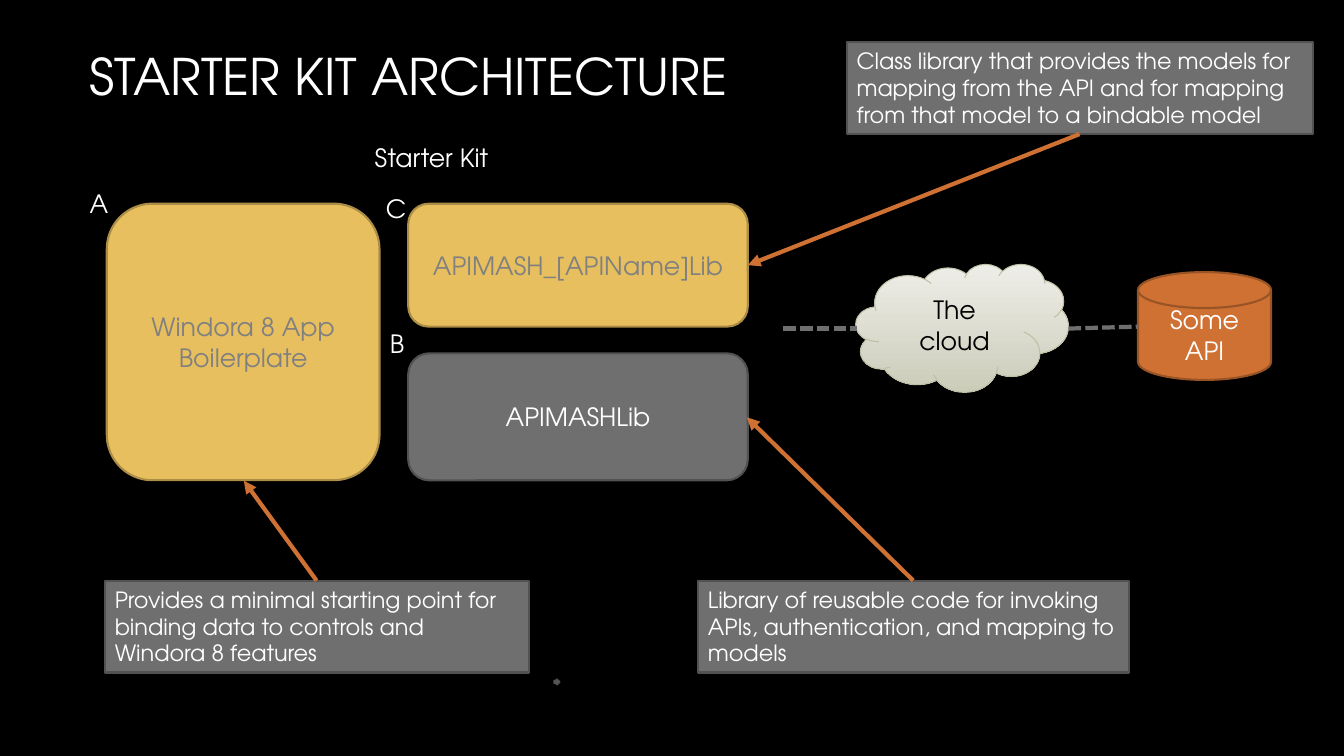
from dataclasses import dataclass

from lxml import etree
from pptx import Presentation
from pptx.dml.color import RGBColor
from pptx.enum import dml, shapes, text
from pptx.oxml import ns
from pptx.util import Pt

FONT = "TeX Gyre Adventor"
WHITE, BLACK, GREY, ORANGE = "FFFFFF", "000000", "6F6F6F", "CF7133"
GOLD, GOLD_EDGE, GREY_EDGE = "E7BF5F", "AB8D46", "525252"
SHAPE, ALIGN, ANCHOR = shapes.MSO_SHAPE, text.PP_ALIGN, text.MSO_ANCHOR
Frame = tuple[float, float, float, float]


@dataclass
class Block:
    frame: Frame
    words: str = ""
    kind: shapes.MSO_SHAPE = SHAPE.RECTANGLE
    fills: tuple[str, ...] = (GREY,)
    edge: str = GREY_EDGE
    edge_width: float = 1.5
    ink: str = WHITE
    size: float = 18
    align: text.PP_ALIGN = ALIGN.CENTER
    anchor: text.MSO_ANCHOR = ANCHOR.MIDDLE


@dataclass
class Label:
    frame: Frame
    words: str
    size: float = 18


@dataclass
class Link:
    ends: Frame
    ink: str = ORANGE
    arrow: bool = True


def note(frame: Frame, words: str) -> Block:
    return Block(frame, words, size=16, align=ALIGN.LEFT, anchor=ANCHOR.TOP)


BLOCKS = [
    Block((56.9, 97.9, 502.6, 273.6), "Starter Kit", fills=(BLACK,), edge=BLACK, anchor=ANCHOR.TOP),
    Block((611.3, 188.6, 151.9, 91.4), "The cloud", SHAPE.CLOUD, ("EEEEE8", "CCCCBA"), "BFBFA5", 0.75, BLACK),
    Block((812.9, 194.4, 95, 77), "Some API", SHAPE.FLOWCHART_MAGNETIC_DISK, (ORANGE,), "995426"),
    Block((291.6, 252.4, 242.6, 90.7), "APIMASHLib", SHAPE.ROUNDED_RECTANGLE),
    Block((291.6, 145.5, 242.6, 87.8), "APIMASH_[APIName]Lib", SHAPE.ROUNDED_RECTANGLE,
          (GOLD,), GOLD_EDGE, ink="808080"),
    Block((76.3, 145.5, 194.8, 197.5), "Windora 8 App Boilerplate", SHAPE.ROUNDED_RECTANGLE,
          (GOLD,), GOLD_EDGE, ink="808080"),
    note((74.9, 414.9, 303.1, 65.5),
         "Provides a minimal starting point for binding data to controls and Windora 8 features"),
    note((604.8, 30, 333.4, 65.5),
         "Class library that provides the models for mapping from the API "
         "and for mapping from that model to a bindable model"),
    note((498.6, 414.9, 307.8, 65.5),
         "Library of reusable code for invoking APIs, authentication, and mapping to models"),
    Block((396, 485.3, 3.6, 3.6), kind=SHAPE.RIGHT_ARROW),
]
LABELS = [
    Label((56.9, 28.8, 476.6, 51.1), "STARTER KIT ARCHITECTURE", 36),
    Label((56.9, 131, 28.1, 28.8), "A"),
    Label((271.4, 231.1, 25.2, 28.8), "B"),
    Label((268.6, 134.6, 29.5, 28.8), "C"),
]
LINKS = [
    Link((559.4, 234.7, 612, 234.7), GREY, False),
    Link((763.2, 234.7, 812.9, 233.3), GREY, False),
    Link((771.1, 95.8, 534.2, 189.4)),
    Link((652.3, 414.7, 533.5, 298.1)),
    Link((226.1, 414.7, 174.2, 343.4)),
]


def colour(code: str) -> RGBColor:
    return RGBColor.from_string(code)


def apply(target: object, values: dict[str, object]) -> None:
    for name, value in values.items():
        setattr(target, name, value)


def write(box, words: str, size: float, ink: str, align, anchor, wrap: bool) -> None:
    apply(box.text_frame, {"word_wrap": wrap, "vertical_anchor": anchor})
    para = box.text_frame.paragraphs[0]
    para.alignment = align
    span = para.add_run()
    span.text = words
    apply(span.font, {"name": FONT, "size": Pt(size)})
    span.font.color.rgb = colour(ink)


def draw_block(page, block: Block) -> None:
    box = page.shapes.add_shape(block.kind, *map(Pt, block.frame))
    box.shadow.inherit = False
    if len(block.fills) > 1:
        box.fill.gradient()
        box.fill.gradient_angle = 270
        for stop, code in zip(box.fill.gradient_stops, block.fills):
            stop.color.rgb = colour(code)
    else:
        box.fill.solid()
        box.fill.fore_color.rgb = colour(block.fills[0])
    box.line.color.rgb = colour(block.edge)
    box.line.width = Pt(block.edge_width)
    if block.words:
        write(box, block.words, block.size, block.ink, block.align, block.anchor, True)


def draw_label(page, label: Label) -> None:
    box = page.shapes.add_textbox(*map(Pt, label.frame))
    write(box, label.words, label.size, WHITE, ALIGN.LEFT, ANCHOR.TOP, False)


def draw_link(page, link: Link) -> None:
    line = page.shapes.add_connector(shapes.MSO_CONNECTOR.STRAIGHT, *map(Pt, link.ends))
    line.line.color.rgb = colour(link.ink)
    line.line.width = Pt(3)
    if link.arrow:
        etree.SubElement(line.line._get_or_add_ln(), ns.qn("a:tailEnd"), type="triangle")
    else:
        line.line.dash_style = dml.MSO_LINE.SQUARE_DOT
    etree.SubElement(line._element.spPr, ns.qn("a:effectLst"))


def main() -> None:
    deck = Presentation()
    apply(deck, {"slide_width": Pt(960), "slide_height": Pt(540)})
    page = deck.slides.add_slide(deck.slide_layouts[6])
    page.background.fill.solid()
    page.background.fill.fore_color.rgb = colour(BLACK)
    for block in BLOCKS:
        draw_block(page, block)
    for label in LABELS:
        draw_label(page, label)
    for link in LINKS:
        draw_link(page, link)
    deck.save("out.pptx")


if __name__ == "__main__":
    main()
